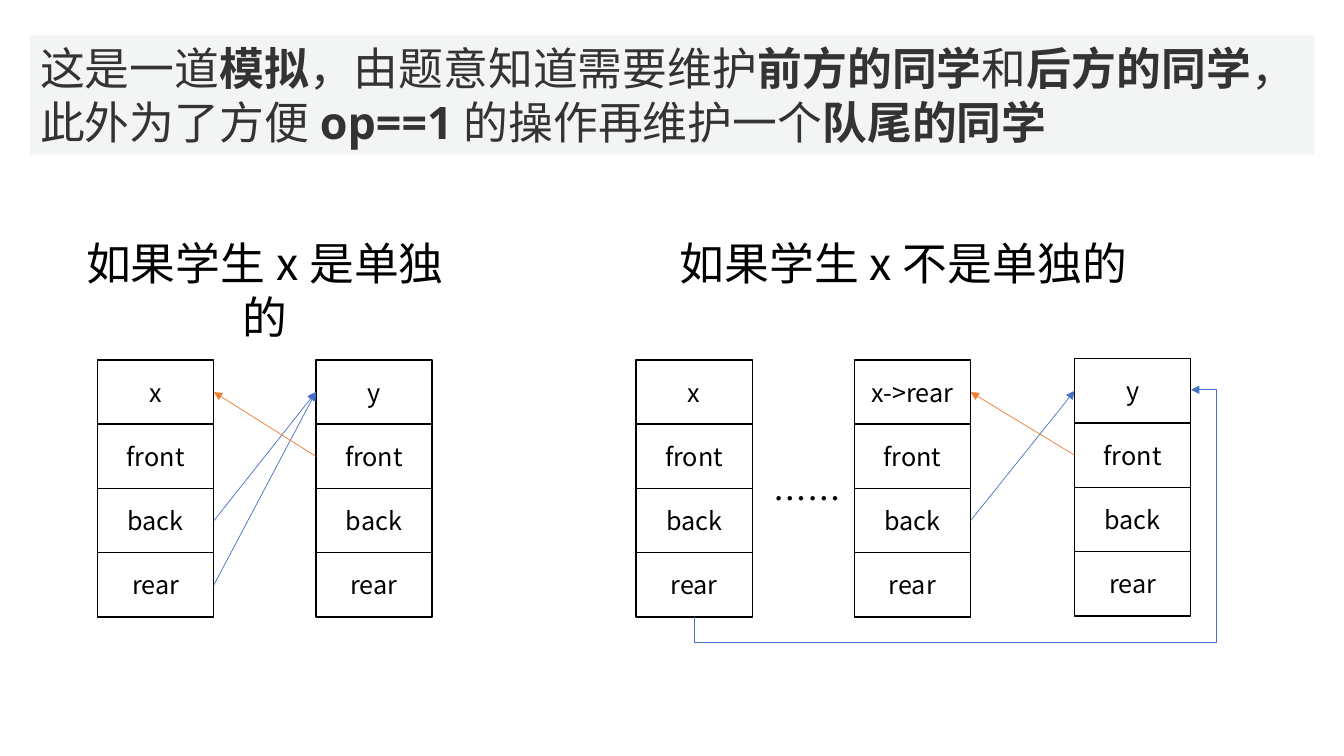
from lxml.etree import SubElement
from pptx import Presentation
from pptx.dml.color import RGBColor
from pptx.enum.shapes import MSO_CONNECTOR, MSO_SHAPE
from pptx.enum.text import MSO_ANCHOR, PP_ALIGN
from pptx.oxml.ns import qn
from pptx.util import Cm, Pt

BLACK = RGBColor(0x00, 0x00, 0x00)
WHITE = RGBColor(0xFF, 0xFF, 0xFF)
DARK_GREY = RGBColor(0x33, 0x33, 0x33)
PALE_GREY = RGBColor(0xF3, 0xF4, 0xF4)
BLUE = RGBColor(0x44, 0x72, 0xC4)
ORANGE = RGBColor(0xED, 0x7D, 0x31)
LABEL_FONT = "Noto Sans CJK SC"


def format_paragraph(paragraph, size, font=LABEL_FONT, color=BLACK, align=PP_ALIGN.CENTER):
    paragraph.alignment = align
    paragraph.font.size = Pt(size)
    paragraph.font.color.rgb = color
    paragraph.font.name = font
    SubElement(paragraph.font._element, qn("a:ea"), typeface=font)


def add_pointer(kind, start, start_side, target, target_side, color):
    pointer = slide.shapes.add_connector(kind, 0, 0, 0, 0)
    pointer.begin_connect(start, start_side)
    pointer.end_connect(target, target_side)
    pointer.line.color.rgb = color
    pointer.line.width = Pt(0.5)
    SubElement(pointer.line._get_or_add_ln(), qn("a:tailEnd"), type="triangle")
    SubElement(pointer._element.spPr, qn("a:effectLst"))
    return pointer


prs = Presentation()
prs.slide_width = Cm(33.87)
prs.slide_height = Cm(19.05)
slide = prs.slides.add_slide(prs.slide_layouts[6])

# Explanation with key terms in bold
explanation = slide.shapes.add_shape(
    MSO_SHAPE.RECTANGLE, Cm(0.76), Cm(0.89), Cm(32.36), Cm(3))
explanation.shadow.inherit = False
explanation.fill.solid()
explanation.fill.fore_color.rgb = PALE_GREY
explanation.line.fill.background()
explanation.text_frame.vertical_anchor = MSO_ANCHOR.MIDDLE
sentence = explanation.text_frame.paragraphs[0]
format_paragraph(sentence, 32, "Open Sans", DARK_GREY, PP_ALIGN.LEFT)
for words, bold in [
    ("这是一道", False), ("模拟", True),
    ("，由题意知道需要维护", False), ("前方的同学", True),
    ("和", False), ("后方的同学", True),
    ("，此外为了方便", False), ("op==1", True),
    ("的操作再维护一个", False), ("队尾的同学", True),
]:
    run = sentence.add_run()
    run.text = words
    run.font.bold = bold

# Case headings and the gap between students
for words, left, top, width, height, size in [
    ("如果学生x是单独的", 1.65, 5.82, 10.06, 1.62, 32),
    ("如果学生x不是单独的", 16.13, 5.82, 13.28, 1.62, 32),
    ("……", 19.2, 11.91, 2.29, 1.28, 24),
]:
    caption = slide.shapes.add_textbox(Cm(left), Cm(top), Cm(width), Cm(height))
    caption.text_frame.word_wrap = True
    caption.text_frame.text = words
    format_paragraph(caption.text_frame.paragraphs[0], size)

# Student records: one group of four stacked cells each
CELL_WIDTH, CELL_HEIGHT = 2.93, 1.62
records = []
for student, left, top in [
    ("x", 2.46, 9.07), ("y", 7.96, 9.07),
    ("x", 16.03, 9.07), ("x->rear", 21.53, 9.07), ("y", 27.08, 9.04),
]:
    group = slide.shapes.add_group_shape()
    cells = {}
    for row, field in enumerate([student, "front", "back", "rear"]):
        cell = group.shapes.add_shape(
            MSO_SHAPE.RECTANGLE, Cm(left), Cm(top + row * CELL_HEIGHT),
            Cm(CELL_WIDTH), Cm(CELL_HEIGHT))
        cell.shadow.inherit = False
        cell.fill.solid()
        cell.fill.fore_color.rgb = WHITE
        cell.line.color.rgb = BLACK
        cell.line.width = Pt(1)
        cell.text_frame.vertical_anchor = MSO_ANCHOR.MIDDLE
        cell.text_frame.text = field
        format_paragraph(cell.text_frame.paragraphs[0], 18)
        cells["name" if row == 0 else field] = cell
    records.append(cells)
single_x, single_y, first_x, last_x, joined_y = records

# Straight pointers between neighbouring records
for start, field, start_side, target, target_side, color in [
    (single_x, "back", 3, single_y, 1, BLUE),
    (single_x, "rear", 3, single_y, 1, BLUE),
    (single_y, "front", 1, single_x, 3, ORANGE),
    (last_x, "back", 3, joined_y, 1, BLUE),
    (joined_y, "front", 1, last_x, 3, ORANGE),
]:
    add_pointer(MSO_CONNECTOR.STRAIGHT, start[field], start_side,
                target["name"], target_side, color)

# Rear pointer running below the records and up to y
rear_pointer = add_pointer(
    MSO_CONNECTOR.ELBOW, first_x["rear"], 2, joined_y["name"], 3, BLUE)
rear_pointer.left, rear_pointer.top = Cm(20.89), Cm(6.43)
rear_pointer.width, rear_pointer.height = Cm(5.73), Cm(12.52)
frame = rear_pointer._element.spPr.find(qn("a:xfrm"))
for attribute, value in [("rot", "5400000"), ("flipH", "1"), ("flipV", "1")]:
    frame.set(attribute, value)
bend = rear_pointer._element.spPr.find(qn("a:prstGeom"))
bend.set("prst", "bentConnector4")
adjustments = bend.find(qn("a:avLst"))
for name, value in [("adj1", -11100), ("adj2", 105100)]:
    SubElement(adjustments, qn("a:gd"), name=name, fmla=f"val {value}")

prs.save("out.pptx")
